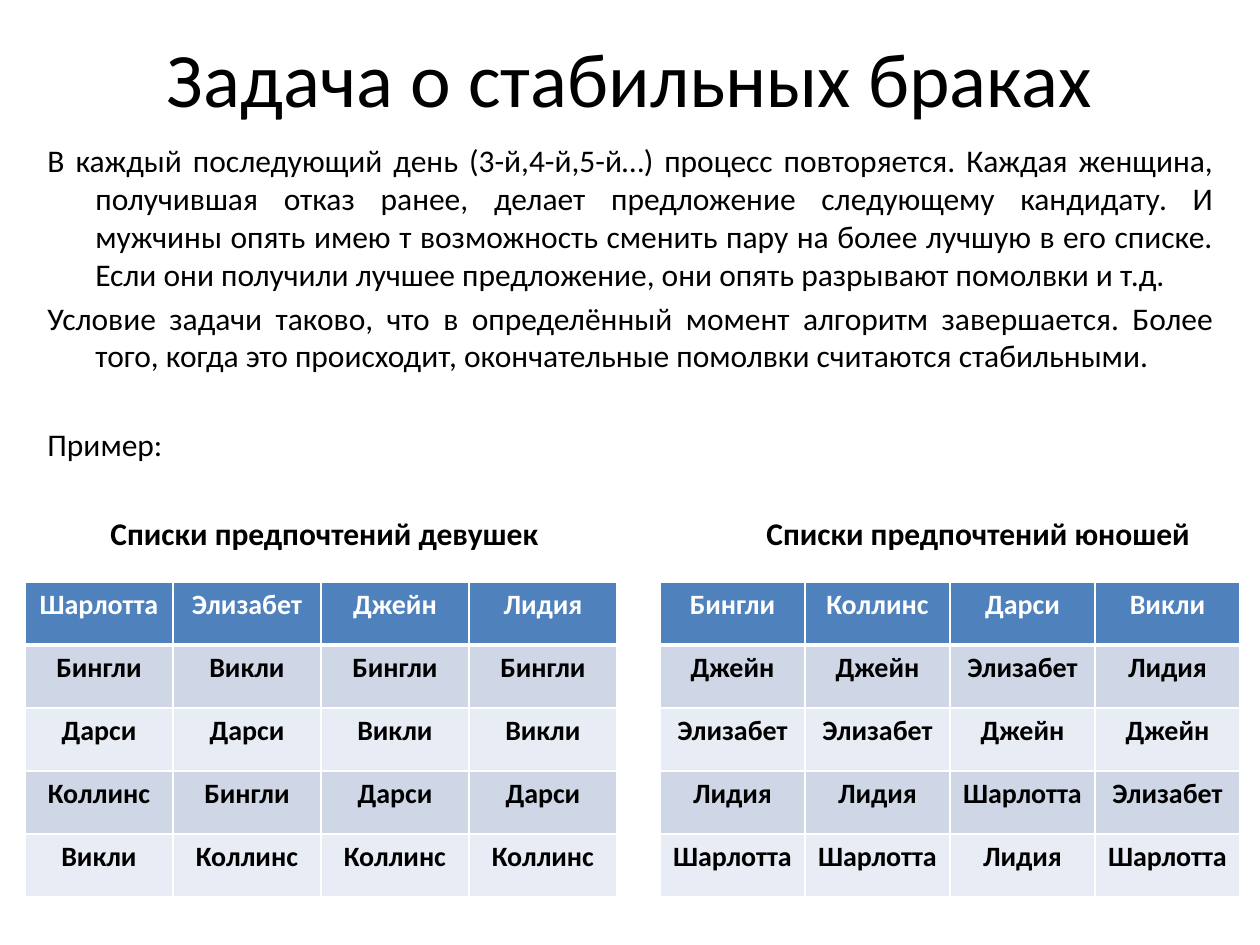
from dataclasses import dataclass

from lxml import etree
from pptx import Presentation
from pptx import util as u
from pptx.dml.color import RGBColor
from pptx.enum import text
from pptx.oxml import ns


@dataclass(frozen=True)
class Theme:
    font: str = "Calibri"
    ink: str = "000000"
    white: str = "FFFFFF"
    header: str = "4F81BD"
    bands: tuple = ("CFD7E7", "E8ECF4")
    title_size: int = 44
    body_size: int = 18
    cell_size: int = 16


THEME = Theme()
EMU_PER_PX = 914400 / 126


def px(length):
    return u.Emu(round(length * EMU_PER_PX))


def write(paragraph, words, size, align, color=THEME.ink, bold=False):
    """Fill a paragraph with one formatted run."""
    paragraph.alignment = align
    run = paragraph.add_run()
    run.text = words
    look = {"name": THEME.font, "size": u.Pt(size), "bold": bold}
    for attribute, value in look.items():
        setattr(run.font, attribute, value)
    run.font.color.rgb = RGBColor.from_string(color)


prs = Presentation()
prs.slide_width, prs.slide_height = px(1260), px(945)
slide = prs.slides.add_slide(prs.slide_layouts[6])
ALIGN = text.PP_ALIGN

# Title
title = slide.shapes.add_textbox(px(63), px(38), px(1134), px(77)).text_frame
title.word_wrap = True
title.vertical_anchor = text.MSO_ANCHOR.MIDDLE
write(title.paragraphs[0], "Задача о стабильных браках", THEME.title_size, ALIGN.CENTER)

# Explanation, with the two table headings on its last line
body = slide.shapes.add_textbox(px(35), px(135), px(1191), px(794)).text_frame
body.word_wrap = True
GAP, WIDE_GAP = 3.6, 29.2
HANG = px(48)
explanation = [
    ("В каждый последующий день (3-й,4-й,5-й…) процесс повторяется. Каждая женщина, "
     "получившая отказ ранее, делает предложение следующему кандидату. И мужчины опять "
     "имею т возможность сменить пару на более лучшую в его списке. Если они получили "
     "лучшее предложение, они опять разрывают помолвки и т.д.", 0),
    ("Условие задачи таково, что в определённый момент алгоритм завершается. Более того, "
     "когда это происходит, окончательные помолвки считаются стабильными.", GAP),
    ("Пример:", WIDE_GAP),
]
for number, (words, space_before) in enumerate(explanation):
    paragraph = body.add_paragraph() if number else body.paragraphs[0]
    paragraph.space_before = u.Pt(space_before)
    write(paragraph, words, THEME.body_size, ALIGN.JUSTIFY)
    properties = paragraph._p.get_or_add_pPr()
    properties.set("marL", str(HANG))
    properties.set("indent", str(-HANG))

headings = body.add_paragraph()
headings.space_before = u.Pt(WIDE_GAP)
write(headings, "\tСписки предпочтений девушек\tСписки предпочтений юношей",
      THEME.body_size, ALIGN.LEFT, bold=True)
tabs = etree.SubElement(headings._p.get_or_add_pPr(), ns.qn("a:tabLst"))
for stop in (63, 719):
    etree.SubElement(tabs, ns.qn("a:tab"), pos=str(px(stop)), algn="l")

# Preference tables: left edge, column width, rows with the chooser's name on top
ROW_HEIGHT = 63
preferences = [
    (25, 148, [
        ("Шарлотта", "Элизабет", "Джейн", "Лидия"),
        ("Бингли", "Викли", "Бингли", "Бингли"),
        ("Дарси", "Дарси", "Викли", "Викли"),
        ("Коллинс", "Бингли", "Дарси", "Дарси"),
        ("Викли", "Коллинс", "Коллинс", "Коллинс"),
    ]),
    (660, 145, [
        ("Бингли", "Коллинс", "Дарси", "Викли"),
        ("Джейн", "Джейн", "Элизабет", "Лидия"),
        ("Элизабет", "Элизабет", "Джейн", "Джейн"),
        ("Лидия", "Лидия", "Шарлотта", "Элизабет"),
        ("Шарлотта", "Шарлотта", "Лидия", "Шарлотта"),
    ]),
]
for left, column_width, rows in preferences:
    columns = len(rows[0])
    table = slide.shapes.add_table(
        len(rows), columns, px(left), px(582),
        px(column_width * columns), px(ROW_HEIGHT * len(rows))).table
    for column in table.columns:
        column.width = px(column_width)
    for r, names in enumerate(rows):
        table.rows[r].height = px(ROW_HEIGHT)
        fill = THEME.bands[(r - 1) % 2] if r else THEME.header
        color = THEME.ink if r else THEME.white
        borders = {"lnL": 1, "lnR": 1, "lnT": 3 if r == 1 else 1, "lnB": 1 if r else 3}
        for c, name in enumerate(names):
            cell = table.cell(r, c)
            for side, points in borders.items():
                line = etree.SubElement(cell._tc.get_or_add_tcPr(), ns.qn(f"a:{side}"),
                                        w=str(u.Pt(points)))
                solid = etree.SubElement(line, ns.qn("a:solidFill"))
                etree.SubElement(solid, ns.qn("a:srgbClr"), val=THEME.white)
            cell.fill.solid()
            cell.fill.fore_color.rgb = RGBColor.from_string(fill)
            write(cell.text_frame.paragraphs[0], name, THEME.cell_size,
                  ALIGN.CENTER, color, bold=True)

prs.save("out.pptx")
